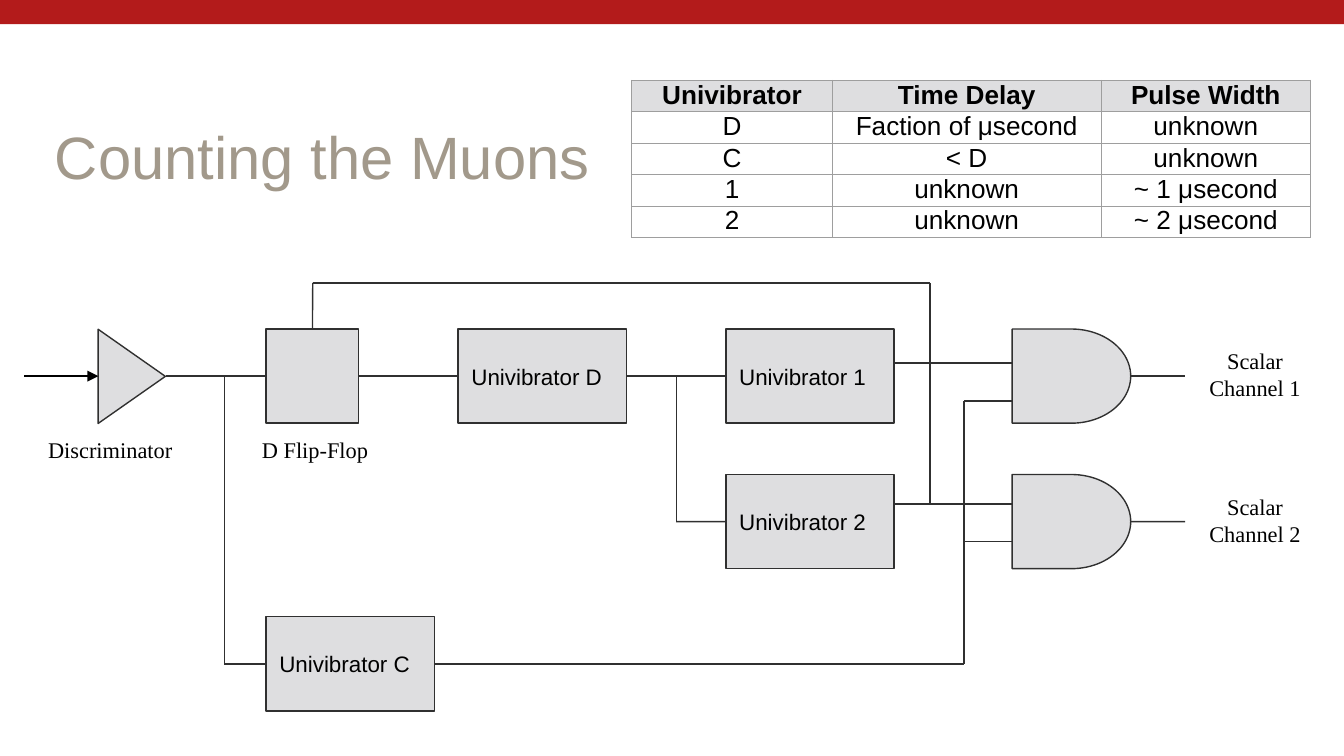
"""Build the muon counting circuit slide."""
from dataclasses import dataclass
from typing import Optional, Union

from lxml import etree
from pptx import Presentation
from pptx import util as u
from pptx.dml.color import RGBColor
from pptx.enum import shapes, text
from pptx.oxml import ns

GREY, INK, BLACK = "DEDEE0", "303030", "000000"
SERIF, SANS = "Times New Roman", "Arial"
ROW_1, ROW_2, ROW_C = 7.11, 9.86, 12.55
INPUT_1, INPUT_2 = 6.86, 9.53
GATE_X, FEEDBACK_X, FEEDBACK_Y = 19.13, 17.58, 5.35
TAP_C, TAP_2, BUS_X = 4.24, 12.78, 18.22
BLOCK_H = 1.78
TOP, LEFT, RIGHT = 0, 1, 3


@dataclass
class Block:
    name: str
    left: float
    middle: float
    width: float
    label: str = ""
    kind: shapes.MSO_SHAPE = shapes.MSO_SHAPE.RECTANGLE


@dataclass
class Port:
    block: str
    site: int


@dataclass
class Point:
    x: float
    y: float


@dataclass
class Wire:
    start: Union[Port, Point]
    end: Union[Port, Point]
    color: str = INK
    arrow: bool = False


@dataclass
class Caption:
    words: str
    left: float
    top: float
    width: float
    height: float
    align: Optional[text.PP_ALIGN] = None


DELAY = shapes.MSO_SHAPE.FLOWCHART_DELAY
BLOCKS = [
    Block("flip", 5.03, ROW_1, 1.75),
    Block("D", 8.66, ROW_1, 3.18, "Univibrator D"),
    Block("1", 13.72, ROW_1, 3.18, "Univibrator 1"),
    Block("2", 13.72, ROW_2, 3.18, "Univibrator 2"),
    Block("C", 5.03, ROW_C, 3.18, "Univibrator C"),
    Block("gate 1", GATE_X, ROW_1, 2.24, kind=DELAY),
    Block("gate 2", GATE_X, ROW_2, 2.24, kind=DELAY),
]
WIRES = [
    Wire(Point(0.46, ROW_1), Point(1.86, ROW_1), BLACK, True),
    Wire(Point(3.13, ROW_1), Port("flip", LEFT)),
    Wire(Port("flip", RIGHT), Port("D", LEFT)),
    Wire(Port("D", RIGHT), Port("1", LEFT)),
    Wire(Point(TAP_C, ROW_1), Point(TAP_C, ROW_C)),
    Wire(Point(TAP_C, ROW_C), Port("C", LEFT)),
    Wire(Point(TAP_2, ROW_1), Point(TAP_2, ROW_2)),
    Wire(Point(TAP_2, ROW_2), Port("2", LEFT)),
    Wire(Point(16.9, INPUT_1), Point(GATE_X, INPUT_1)),
    Wire(Point(16.9, INPUT_2), Point(GATE_X, INPUT_2)),
    Wire(Port("C", RIGHT), Point(BUS_X, ROW_C)),
    Wire(Point(BUS_X, ROW_C), Point(BUS_X, 7.58)),
    Wire(Point(BUS_X, 7.58), Point(GATE_X, 7.58)),
    Wire(Point(BUS_X, 10.24), Point(GATE_X, 10.24)),
    Wire(Port("flip", TOP), Point(5.91, FEEDBACK_Y)),
    Wire(Point(5.91, FEEDBACK_Y), Point(FEEDBACK_X, FEEDBACK_Y)),
    Wire(Point(FEEDBACK_X, FEEDBACK_Y), Point(FEEDBACK_X, INPUT_2)),
    Wire(Port("gate 1", RIGHT), Point(22.4, ROW_1)),
    Wire(Port("gate 2", RIGHT), Point(22.4, ROW_2)),
]
CAPTIONS = [
    Caption("Discriminator", 0.66, 8, 2.95, 1.02),
    Caption("D Flip-Flop", 4.7, 8, 2.64, 1.02),
    Caption("Scalar Channel 1", 22.4, 6.32, 2.64, 1.55, text.PP_ALIGN.CENTER),
    Caption("Scalar Channel 2", 22.4, 9.07, 2.64, 1.55, text.PP_ALIGN.CENTER),
]
COLUMNS = [3.79, 5.08, 3.96]
TIMINGS = [
    ["Univibrator", "Time Delay", "Pulse Width"],
    ["D", "Faction of μsecond", "unknown"],
    ["C", "< D", "unknown"],
    ["1", "unknown", "~ 1 μsecond"],
    ["2", "unknown", "~ 2 μsecond"],
]


def rgb(value: str) -> RGBColor:
    return RGBColor.from_string(value)


def write(tf, words: str, *, size=12, font=SANS, color=BLACK, bold=False,
          align=None, anchor=text.MSO_ANCHOR.TOP, inset=(0.25, 0.25)) -> None:
    tf.word_wrap = True
    tf.vertical_anchor = anchor
    tf.margin_left = tf.margin_right = u.Cm(inset[0])
    tf.margin_top = tf.margin_bottom = u.Cm(inset[1])
    p = tf.paragraphs[0]
    p.alignment = align
    r = p.add_run()
    r.text = words
    r.font.size, r.font.name, r.font.bold = u.Pt(size), font, bold
    r.font.color.rgb = rgb(color)


def add_shape(s, kind, left: float, top: float, width: float, height: float,
              fill=GREY, line: Optional[str] = INK):
    sp = s.shapes.add_shape(kind, *map(u.Cm, (left, top, width, height)))
    sp.shadow.inherit = False
    sp.fill.solid()
    sp.fill.fore_color.rgb = rgb(fill)
    if line:
        sp.line.color.rgb = rgb(line)
        sp.line.width = u.Pt(0.75)
    else:
        sp.line.fill.background()
    return sp


def add_block(s, block: Block):
    sp = add_shape(s, block.kind, block.left, block.middle - BLOCK_H / 2,
                   block.width, BLOCK_H)
    if block.label:
        write(sp.text_frame, block.label, align=text.PP_ALIGN.LEFT,
              anchor=text.MSO_ANCHOR.MIDDLE)
    return sp


def add_wire(s, wire: Wire, blocks: dict) -> None:
    ends = [e if isinstance(e, Point) else Point(0, 0) for e in (wire.start, wire.end)]
    cx = s.shapes.add_connector(shapes.MSO_CONNECTOR.STRAIGHT,
                                *[u.Cm(v) for e in ends for v in (e.x, e.y)])
    for end, join in ((wire.start, cx.begin_connect), (wire.end, cx.end_connect)):
        if isinstance(end, Port):
            join(blocks[end.block], end.site)
    cx.line.color.rgb = rgb(wire.color)
    cx.line.width = u.Pt(0.75)
    if wire.arrow:
        etree.SubElement(cx.line._get_or_add_ln(), ns.qn("a:tailEnd"), type="triangle")
    etree.SubElement(cx._element.spPr, ns.qn("a:effectLst"))


def add_text(s, box: Caption, **style) -> None:
    area = map(u.Cm, (box.left, box.top, box.width, box.height))
    write(s.shapes.add_textbox(*area).text_frame, box.words, align=box.align, **style)


def add_borders(cell) -> None:
    tc_pr = cell._tc.get_or_add_tcPr()
    for i, side in enumerate(("lnL", "lnR", "lnT", "lnB")):
        ln = etree.Element(ns.qn(f"a:{side}"), w=str(u.Pt(0.75)))
        fill = etree.SubElement(ln, ns.qn("a:solidFill"))
        etree.SubElement(fill, ns.qn("a:srgbClr"), val="9E9E9E")
        tc_pr.insert(i, ln)


def add_timings(s) -> None:
    row_h = 0.59
    table = s.shapes.add_table(
        len(TIMINGS), len(COLUMNS), u.Cm(11.94), u.Cm(1.52),
        u.Cm(sum(COLUMNS)), u.Cm(row_h * len(TIMINGS))).table
    table.first_row = table.horz_banding = False
    for column, width in zip(table.columns, COLUMNS):
        column.width = u.Cm(width)
    for i, row in enumerate(TIMINGS):
        table.rows[i].height = u.Cm(row_h)
        for j, words in enumerate(row):
            cell = table.cell(i, j)
            cell.margin_left = cell.margin_right = cell.margin_top = cell.margin_bottom = 0
            write(cell.text_frame, words, size=14, bold=i == 0,
                  align=text.PP_ALIGN.CENTER, inset=(0, 0))
            if i == 0:
                cell.fill.solid()
                cell.fill.fore_color.rgb = rgb(GREY)
            else:
                cell.fill.background()
            add_borders(cell)


def main() -> None:
    prs = Presentation()
    prs.slide_width, prs.slide_height = u.Cm(25.4), u.Cm(14.29)
    s = prs.slides.add_slide(prs.slide_layouts[6])
    add_shape(s, shapes.MSO_SHAPE.RECTANGLE, 0, 0, 25.4, 0.46, "B31B1B", None)
    add_text(s, Caption("Counting the Muons", 0.79, 2.24, 10.77, 1.42), size=32,
             color="A2998B", anchor=text.MSO_ANCHOR.MIDDLE, inset=(0.25, 0.13))
    add_shape(s, shapes.MSO_SHAPE.ISOSCELES_TRIANGLE, 1.6, 6.48, BLOCK_H, 1.27).rotation = 90
    blocks = {block.name: add_block(s, block) for block in BLOCKS}
    for wire in WIRES:
        add_wire(s, wire, blocks)
    for caption in CAPTIONS:
        add_text(s, caption, font=SERIF)
    add_timings(s)
    prs.save("out.pptx")


if __name__ == "__main__":
    main()
